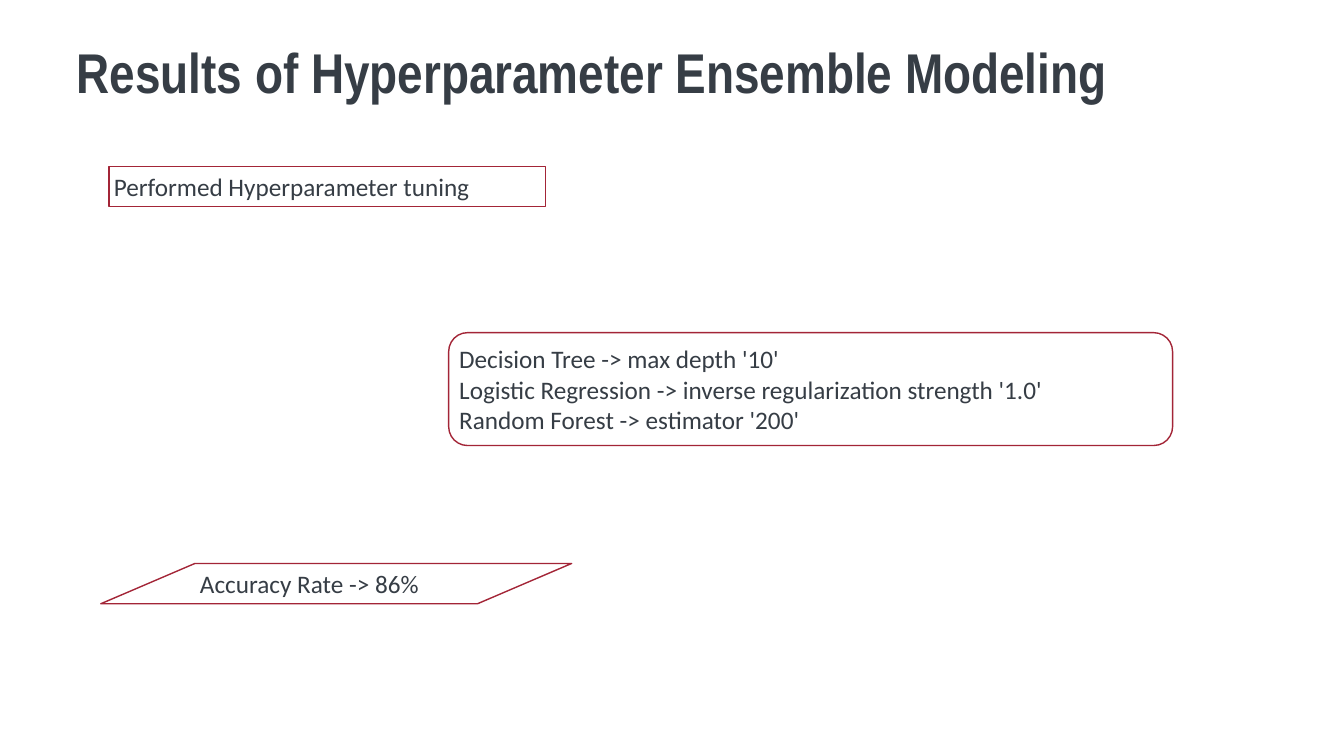
from pptx import Presentation
from pptx.dml.color import RGBColor
from pptx.enum.shapes import MSO_SHAPE
from pptx.enum.text import MSO_ANCHOR, PP_ALIGN
from pptx.util import Inches, Pt

COLORS = {"text": "363D45", "outline": "A32537", "fill": "FFFFFF"}
TITLE_FORMAT = {"name": "Arial Narrow", "size": Pt(40), "bold": True}
BODY_FORMAT = {"name": "Calibri", "size": Pt(18), "bold": False}


def color(name):
    return RGBColor.from_string(COLORS[name])


def write_lines(shape, lines, font_format, anchor, spacing):
    frame = shape.text_frame
    frame.word_wrap = True
    frame.vertical_anchor = anchor
    for side in ("left", "top", "right", "bottom"):
        setattr(frame, f"margin_{side}", Inches(0.05))
    frame.text = "\n".join(lines)
    for paragraph in frame.paragraphs:
        paragraph.alignment = PP_ALIGN.LEFT
        paragraph.line_spacing = spacing
        for attribute, value in font_format.items():
            setattr(paragraph.font, attribute, value)
        paragraph.font.color.rgb = color("text")


presentation = Presentation()
presentation.slide_width = Inches(13.33)
presentation.slide_height = Inches(7.5)
slide = presentation.slides.add_slide(presentation.slide_layouts[6])

title = slide.shapes.add_textbox(Inches(0.71), Inches(0.4), Inches(11.71), Inches(0.95))
write_lines(title, ["Results of Hyperparameter Ensemble Modeling"], TITLE_FORMAT, MSO_ANCHOR.TOP, 0.9)

steps = [
    (MSO_SHAPE.RECTANGLE, (1.08, 1.65, 4.33, 0.4), ["Performed Hyperparameter tuning"]),
    (MSO_SHAPE.ROUNDED_RECTANGLE, (4.45, 3.3, 7.18, 1.12), [
        "Decision Tree -> max depth '10'",
        "Logistic Regression -> inverse regularization strength '1.0'",
        "Random Forest -> estimator '200'",
    ]),
    (MSO_SHAPE.FLOWCHART_DATA, (1, 5.59, 4.67, 0.4), ["Accuracy Rate -> 86%"]),
]
for kind, bounds, lines in steps:
    shape = slide.shapes.add_shape(kind, *map(Inches, bounds))
    shape.shadow.inherit = False
    shape.fill.solid()
    shape.fill.fore_color.rgb = color("fill")
    shape.line.color.rgb = color("outline")
    shape.line.width = Pt(1)
    write_lines(shape, lines, BODY_FORMAT, MSO_ANCHOR.MIDDLE, 1.0)

presentation.save("out.pptx")
